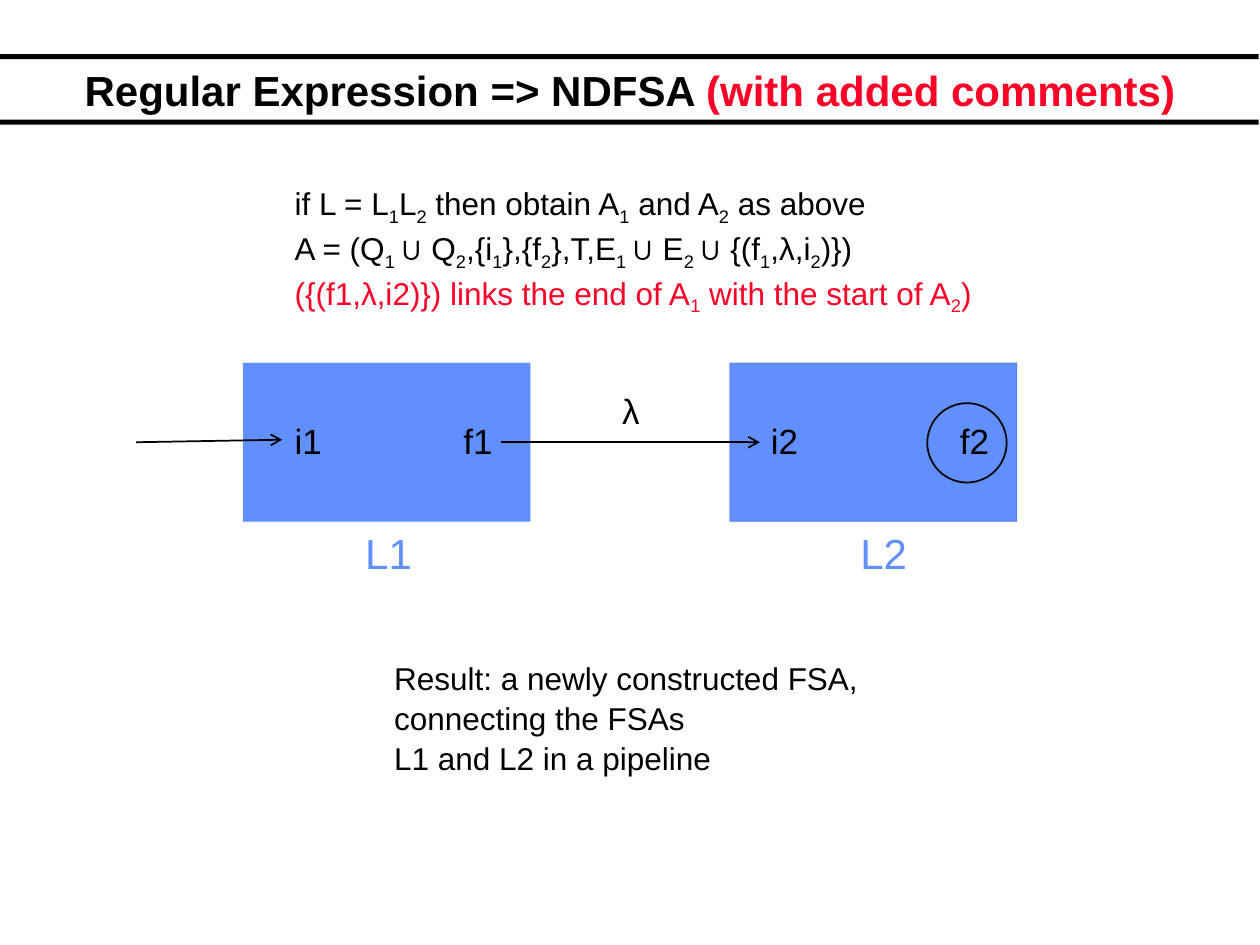
"""Build the slide on joining two automata for a concatenated regular expression."""
import pptx
import pptx.dml.color
import pptx.enum.shapes
import pptx.enum.text
import pptx.oxml
import pptx.oxml.ns
import pptx.util

Inches = pptx.util.Inches
Pt = pptx.util.Pt
RGB = pptx.dml.color.RGBColor.from_string
Shape = pptx.enum.shapes.MSO_SHAPE
NS = pptx.oxml.ns.nsdecls("a")

THEME = {
    "font": "Arial",
    "black": RGB("000000"),
    "red": RGB("FC0128"),
    "blue": RGB("618FFD"),
    "head": Pt(24),
    "state": Pt(20),
    "body": Pt(18),
    "line": Pt(1),
}


def add_box(left, top, width, height, lines, size, spacing=1):
    """Add a text box from lines of (text, colour, bold, subscript) runs."""
    box = slide.shapes.add_textbox(Inches(left), Inches(top), Inches(width), Inches(height))
    frame = box.text_frame
    frame.word_wrap = True
    for row, runs in enumerate(lines):
        para = frame.add_paragraph() if row else frame.paragraphs[0]
        para.line_spacing = spacing
        for text, color, bold, sub in runs:
            run = para.add_run()
            run.text = text
            run.font.name = THEME["font"]
            run.font.size = THEME[size]
            run.font.bold = bold
            run.font.color.rgb = THEME[color]
            if sub:
                run._r.get_or_add_rPr().set("baseline", "-25000")
    return frame


def add_form(kind, left, top, width, height, fill, line, alpha=100):
    """Add a preset shape; alpha is the opacity of its outline in percent."""
    form = slide.shapes.add_shape(kind, Inches(left), Inches(top), Inches(width), Inches(height))
    form.shadow.inherit = False
    if fill:
        form.fill.solid()
        form.fill.fore_color.rgb = THEME[fill]
    else:
        form.fill.background()
    if line:
        form.line.width = THEME["line"]
        form.line.color.rgb = THEME[line]
        tint = form.line._ln.find(".//" + pptx.oxml.ns.qn("a:srgbClr"))
        tint.append(pptx.oxml.parse_xml(f'<a:alpha {NS} val="{alpha * 1000}"/>'))
    else:
        form.line.fill.background()


deck = pptx.Presentation()
deck.slide_width = Inches(10)
deck.slide_height = Inches(7.5)
slide = deck.slides.add_slide(deck.slide_layouts[6])

for top in (0.43, 0.95):
    add_form(Shape.RECTANGLE, 0, top, 9.99, 0.04, "black", None)

title = [
    ("Regular Expression => NDFSA ", "black", True, False),
    ("(with added comments)", "red", True, False),
]
frame = add_box(0, 0.45, 10, 0.52, [title], "head")
frame.vertical_anchor = pptx.enum.text.MSO_ANCHOR.MIDDLE
frame.paragraphs[0].alignment = pptx.enum.text.PP_ALIGN.CENTER

rules = [
    ("if L = L|1|L|2| then obtain A|1| and A|2| as above", "black"),
    ("A = (Q|1 |∪ Q|2|,{i|1|},{f|2|},T,E|1 |∪ E|2 |∪ {(f|1|,λ,i|2|)})", "black"),
    ("({(f1,λ,i2)}) links the end of A|1| with the start of A|2|)", "red"),
]
lines = [
    [(part, color, False, spot % 2 == 1) for spot, part in enumerate(text.split("|"))]
    for text, color in rules
]
add_box(2.24, 1.4, 6, 1.15, lines, "body", 1.04)

for left, line in ((1.93, "blue"), (5.79, "black")):
    add_form(Shape.RECTANGLE, left, 2.88, 2.28, 1.26, "blue", line, 10)

for start, end in (((3.98, 3.51), (6.03, 3.51)), ((1.08, 3.51), (2.24, 3.49))):
    arrow = slide.shapes.add_connector(
        pptx.enum.shapes.MSO_CONNECTOR.STRAIGHT, *map(Inches, start + end)
    )
    arrow.line.width = THEME["line"]
    arrow.line.color.rgb = THEME["black"]
    arrow.line._ln.append(pptx.oxml.parse_xml(f'<a:tailEnd {NS} type="arrow"/>'))
    arrow._element.spPr.append(pptx.oxml.parse_xml(f"<a:effectLst {NS}/>"))

labels = [
    ("λ", 4.84, 3.04, 0.47, 0.44, "state", "black"),
    ("i1", 2.24, 3.28, 0.63, 0.44, "state", "black"),
    ("f1", 3.58, 3.28, 0.63, 0.44, "state", "black"),
    ("i2", 6.02, 3.28, 0.63, 0.44, "state", "black"),
    ("f2", 7.52, 3.28, 0.63, 0.44, "state", "black"),
    ("L1", 2.8, 4.14, 0.79, 0.5, "head", "blue"),
    ("L2", 6.73, 4.14, 0.79, 0.5, "head", "blue"),
]
for text, left, top, width, height, size, color in labels:
    add_box(left, top, width, height, [[(text, color, False, False)]], size)

add_form(Shape.OVAL, 7.36, 3.2, 0.63, 0.63, None, "black", 96)

result = ["Result: a newly constructed FSA,", "connecting the FSAs", "L1 and L2 in a pipeline"]
lines = [[(text, "black", False, False)] for text in result]
add_box(3.03, 5.17, 4.57, 1, lines, "body", 1.05)

deck.save("out.pptx")
